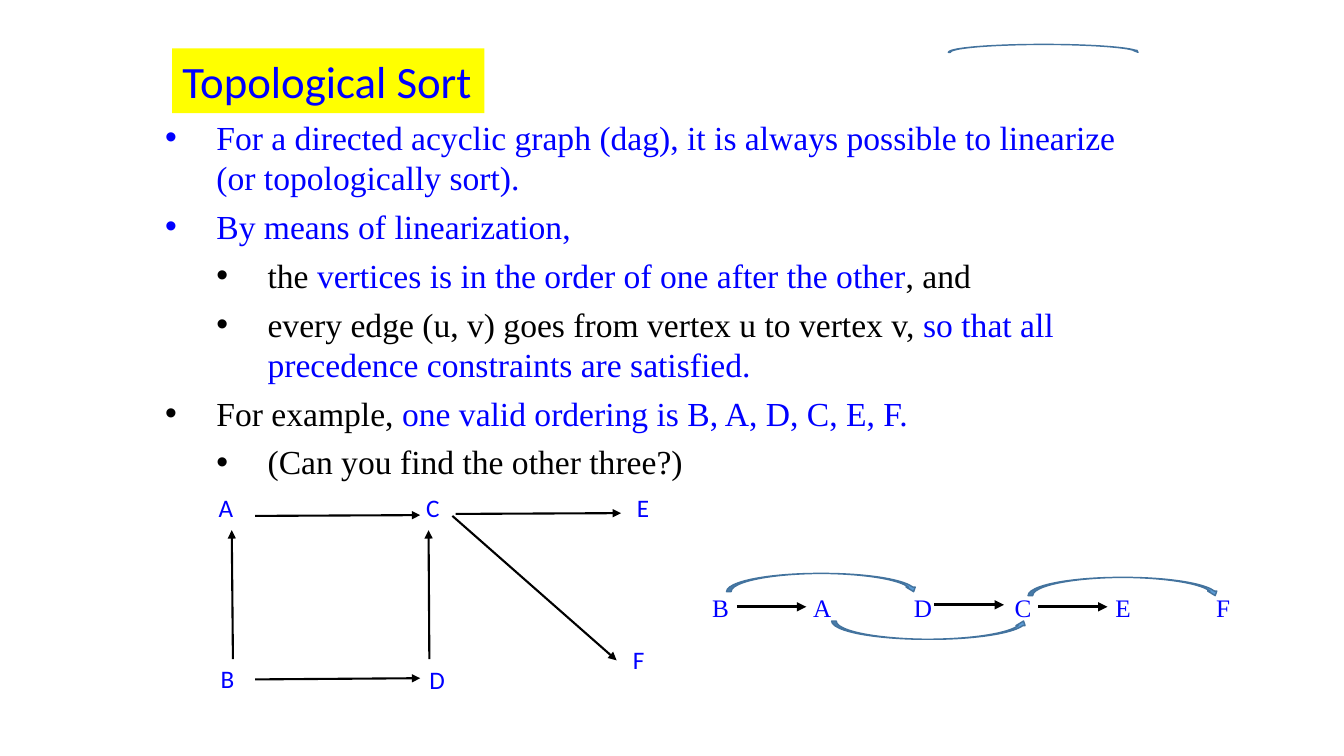
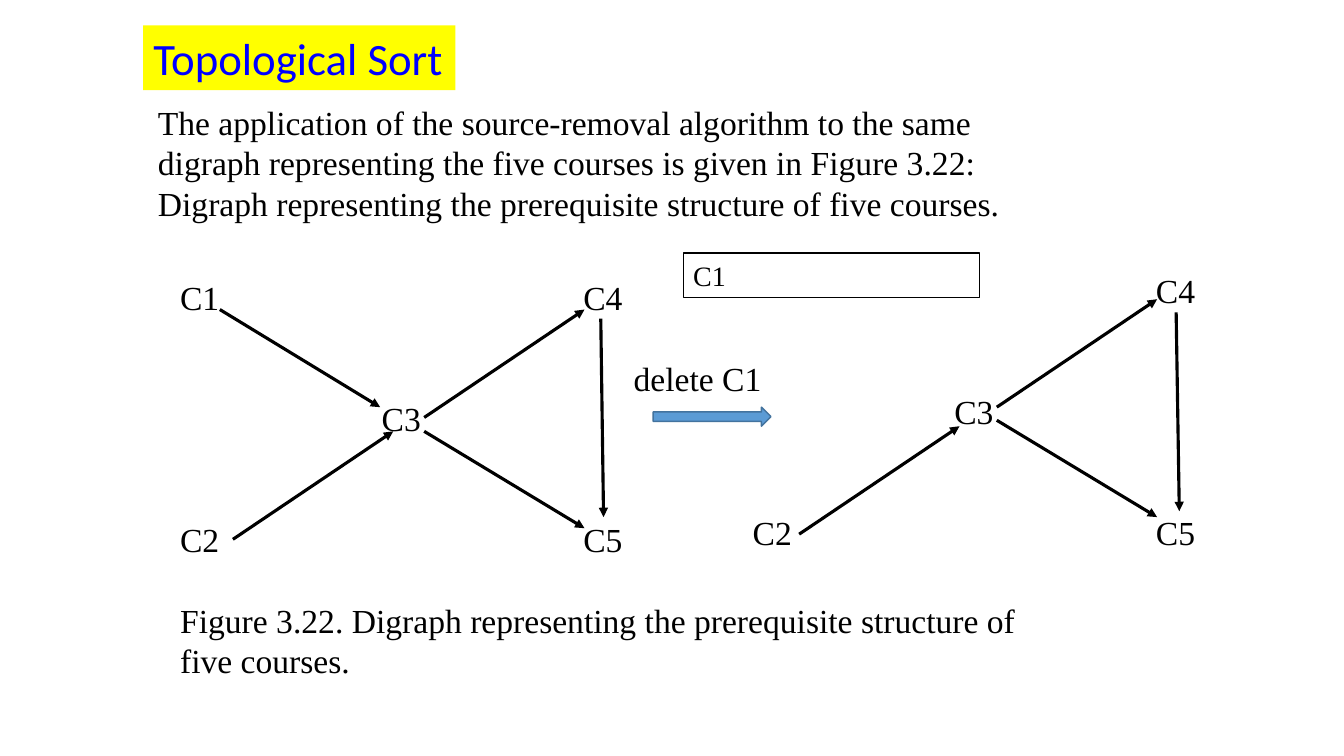
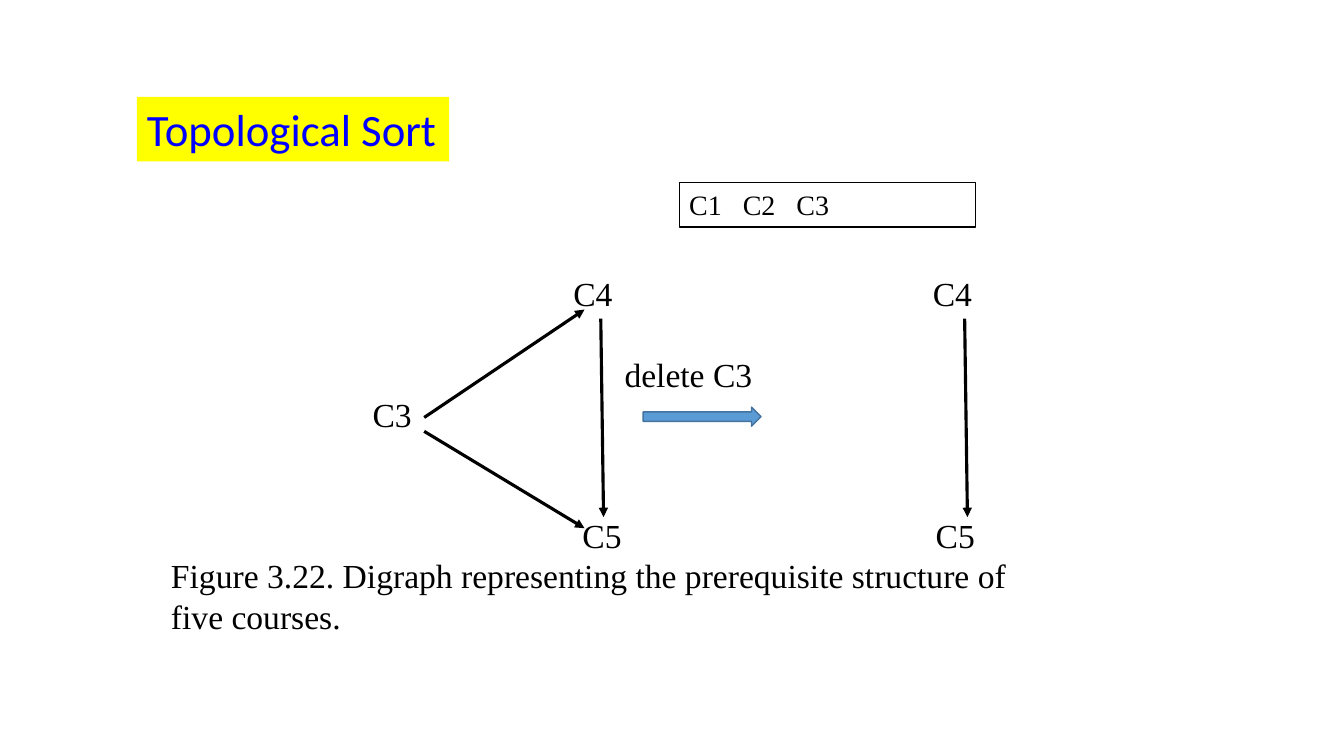
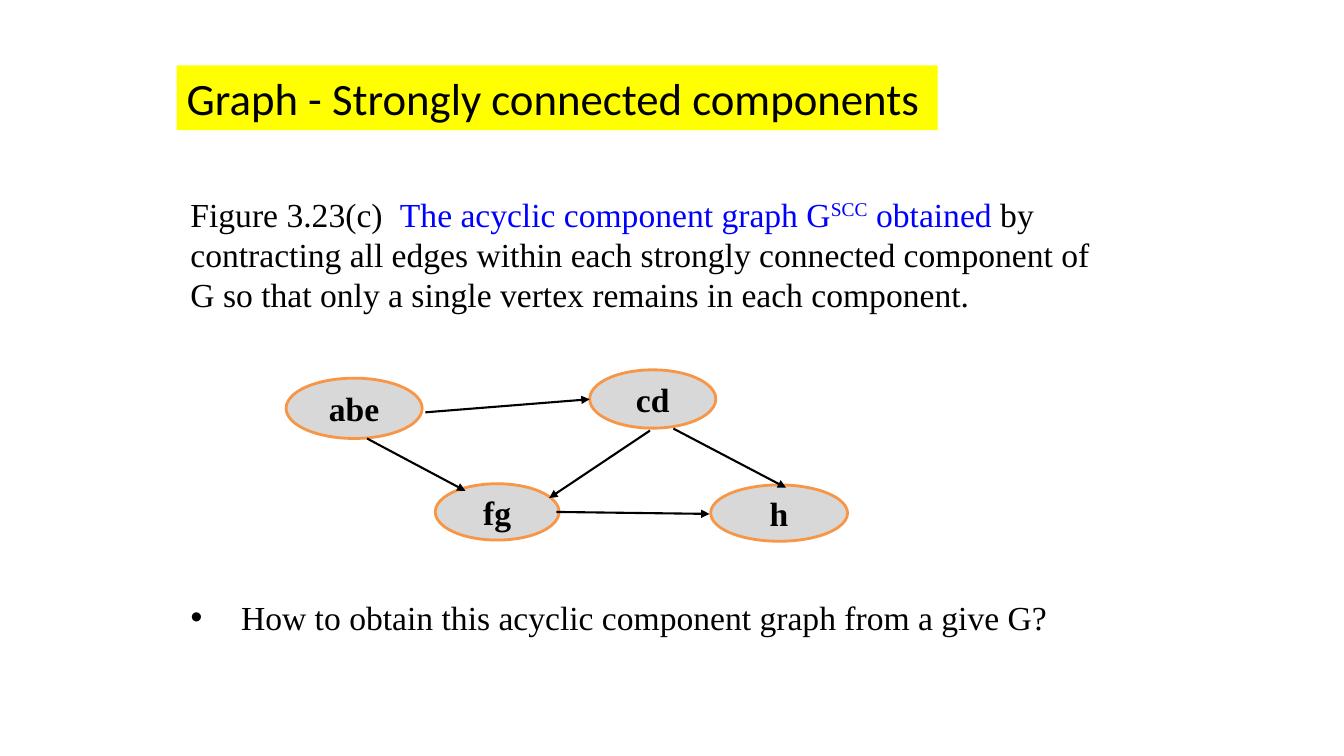
from lxml import etree
from pptx import Presentation
from pptx import util as u
from pptx.dml.color import RGBColor
from pptx.enum import shapes, text
from pptx.oxml import ns

COLORS = {
    "white": "FFFFFF", "black": "000000", "blue": "0000FF", "yellow": "FFFF00",
    "arrow": "5B9BD5", "arrow_line": "43739E", "node": "D8D8D8", "node_line": "F79646",
}
SERIF, SANS = "Times New Roman", "Calibri"
SHAPE = shapes.MSO_SHAPE
TITLE_ONLY, TITLE_BODY = 5, 1
LINE_FACTOR = 1.2
CAPTION = "Figure 3.22. Digraph representing the prerequisite structure of five courses."
COURSE_EDGES = {
    "C1-C3": (5.54, 7.8, 9.58, 10.26),
    "C3-C5": (10.69, 10.87, 14.73, 13.31),
    "C3-C4": (10.69, 10.52, 14.73, 7.8),
    "C2-C3": (5.87, 13.59, 9.91, 10.87),
    "C4-C5": (15.14, 8.03, 15.21, 13.03),
}


def rgb(name):
    return RGBColor.from_string(COLORS[name])


def apply(obj, values):
    for name, value in values.items():
        setattr(obj, name, value)


def box(at):
    return [u.Cm(v) for v in at]


def place(sp, at):
    apply(sp, dict(zip(("left", "top", "width", "height"), box(at))))


def sub(parent, tag, **attrs):
    return etree.SubElement(parent, ns.qn(tag), attrs)


def add_bullet(p, level, step):
    pPr = p._p.get_or_add_pPr()
    pPr.set("marL", str(u.Cm(step * (level + 1))))
    pPr.set("indent", str(-u.Cm(step)))
    sub(pPr, "a:buFont", typeface="Arial")
    sub(pPr, "a:buChar", char="•")


def add_tabs(p, stops):
    tabs = sub(p._p.get_or_add_pPr(), "a:tabLst")
    for stop in stops:
        sub(tabs, "a:tab", pos=str(u.Cm(stop)), algn="l")


def add_runs(p, runs, size=24, font=SERIF, bold=False):
    apply(p, {"line_spacing": u.Pt(size * LINE_FACTOR), "space_before": u.Pt(0)})
    for content, color, *raised in runs:
        r = p.add_run()
        r.text = content
        apply(r.font, {"size": u.Pt(size), "name": font, "bold": bold})
        r.font.color.rgb = rgb(color)
        if raised:
            r.font._element.set("baseline", "30000")


def add_title(s, content, at, color="blue"):
    sp = s.shapes.title
    place(sp, at)
    sp.fill.solid()
    sp.fill.fore_color.rgb = rgb("yellow")
    tf = sp.text_frame
    apply(tf, {"word_wrap": False, "auto_size": text.MSO_AUTO_SIZE.NONE,
               "vertical_anchor": text.MSO_ANCHOR.TOP})
    p = tf.paragraphs[0]
    p.alignment = text.PP_ALIGN.LEFT
    add_runs(p, [(content, color)], 32, SANS)


def add_list(s, at, items, step):
    sp = s.placeholders[1]
    place(sp, at)
    tf = sp.text_frame
    apply(tf, {"word_wrap": True, "auto_size": text.MSO_AUTO_SIZE.NONE})
    for i, (level, runs) in enumerate(items):
        p = tf.add_paragraph() if i else tf.paragraphs[0]
        apply(p, {"level": level, "space_after": u.Pt(6)})
        add_bullet(p, level, step)
        add_runs(p, runs)


def add_text(s, at, runs, tabs=(), **style):
    tf = s.shapes.add_textbox(*box(at)).text_frame
    tf.word_wrap = True
    p = tf.paragraphs[0]
    if tabs:
        add_tabs(p, tabs)
    add_runs(p, runs, **style)


def add_labels(s, labels, width=1.8, color="black", **style):
    for content, x, y in labels:
        add_text(s, (x, y, width, 1.04), [(content, color)], **style)


def add_shape(s, kind, at, fill, line, width=1):
    sp = s.shapes.add_shape(kind, *box(at))
    sp.shadow.inherit = False
    sp.fill.solid()
    sp.fill.fore_color.rgb = rgb(fill)
    sp.line.color.rgb = rgb(line)
    sp.line.width = u.Pt(width)
    return sp


def add_block_arrow(s, kind, at):
    add_shape(s, kind, at, "arrow", "arrow_line")


def add_arrows(s, ends, width):
    for end in ends:
        c = s.shapes.add_connector(shapes.MSO_CONNECTOR.STRAIGHT, *box(end))
        c.line.color.rgb = rgb("black")
        c.line.width = u.Pt(width)
        sub(c.line._get_or_add_ln(), "a:tailEnd", type="triangle")
        sub(c._element.spPr, "a:effectLst")


def add_removed_box(s, x, y, content):
    sp = add_shape(s, SHAPE.RECTANGLE, (x, y, 7.47, 1.12), "white", "black")
    sp.text_frame.vertical_anchor = text.MSO_ANCHOR.TOP
    p = sp.text_frame.paragraphs[0]
    p.alignment = text.PP_ALIGN.LEFT
    add_tabs(p, (1.35, 2.7))
    add_runs(p, [(content, "black")], 20)


def add_component(s, content, at):
    sp = add_shape(s, SHAPE.OVAL, at, "node", "node_line", 2)
    sp.text_frame.vertical_anchor = text.MSO_ANCHOR.MIDDLE
    p = sp.text_frame.paragraphs[0]
    p.alignment = text.PP_ALIGN.CENTER
    add_runs(p, [(content, "black")], bold=True)


def add_slide(prs, layout, title, at, color="blue"):
    s = prs.slides.add_slide(prs.slide_layouts[layout])
    add_title(s, title, at, color)
    return s


def linearization(prs):
    s = add_slide(prs, TITLE_BODY, "Topological Sort", (4.34, 1.22, 7.87, 1.63))
    add_list(s, (3.91, 2.82, 24.82, 9.53), [
        (0, [("For a directed acyclic graph (dag), it is always possible to linearize "
              "(or topologically sort).", "blue")]),
        (0, [("By means of linearization,", "blue")]),
        (1, [("the ", "black"), ("vertices is in the order of one after the other", "blue"),
             (", and", "black")]),
        (1, [("every edge (u, v) goes from vertex u to vertex v, ", "black"),
             ("so that all precedence constraints are satisfied.", "blue")]),
        (0, [("For example, ", "black"), ("one valid ordering is B, A, D, C, E, F.", "blue")]),
        (1, [("(Can you find the other three?)", "black")]),
    ], 1.29)
    add_labels(s, [("A", 5.26, 12.29), ("C", 10.49, 12.29), ("E", 15.8, 12.29),
                   ("B", 5.31, 16.59), ("D", 10.57, 16.61), ("F", 15.7, 16.1)],
               1, "blue", size=18, font=SANS)
    add_arrows(s, [(6.43, 13, 10.59, 12.98), (11.48, 12.95, 15.65, 12.93),
                   (6.43, 17.12, 10.59, 17.09), (5.87, 16.61, 5.84, 13.36),
                   (10.82, 16.61, 10.8, 13.36), (11.4, 13, 15.54, 16.64)], 1.5)
    add_text(s, (17.7, 14.81, 14, 1.02), [("B\tA\tD\tC\tE\tF", "blue")],
             [2.54 * i for i in range(1, 6)], size=18)
    add_arrows(s, [(x, y, x + 1.75, y) for x, y in
                   ((18.57, 15.29), (23.55, 15.24), (26.16, 15.29))], 2.25)
    for at in ((18.31, 14.45, 4.83, 0.46), (23.9, 1.12, 4.83, 0.2), (25.91, 14.55, 4.83, 0.46)):
        add_block_arrow(s, SHAPE.CURVED_DOWN_ARROW, at)
    add_block_arrow(s, SHAPE.CURVED_UP_ARROW, (20.96, 15.65, 4.95, 0.46))


def delete_first(prs):
    s = add_slide(prs, TITLE_ONLY, "Topological Sort", (3.61, 0.64, 7.87, 1.63))
    add_text(s, (3.73, 2.44, 22.96, 3.33), [(
        "The application of the source-removal algorithm to the same digraph representing "
        "the five courses is given in Figure 3.22: Digraph representing the prerequisite "
        "structure of five courses.", "black")])
    grid = {"C1": (0, 0), "C2": (0, 2), "C3": (1, 1), "C4": (2, 0), "C5": (2, 2)}
    for x, y, names in ((4.29, 6.86, list(grid)), (18.72, 6.68, list(grid)[1:])):
        add_labels(s, [(n, x + 5.08 * grid[n][0], y + 3.05 * grid[n][1]) for n in names])
    add_arrows(s, COURSE_EDGES.values(), 2.25)
    add_arrows(s, [(29.64, 7.87, 29.72, 12.88), (25.12, 10.26, 29.16, 7.54),
                   (20.14, 13.46, 24.18, 10.74), (25.12, 10.59, 29.16, 13.03)], 2.25)
    add_labels(s, [("delete C1", 15.72, 8.89)], 4.5)
    add_block_arrow(s, SHAPE.RIGHT_ARROW, (16.46, 10.26, 2.97, 0.48))
    add_removed_box(s, 17.22, 6.38, "C1")
    add_text(s, (4.29, 14.99, 22.96, 2.3), [(CAPTION, "black")])


def delete_third(prs):
    s = add_slide(prs, TITLE_ONLY, "Topological Sort", (3.45, 2.44, 7.87, 1.63))
    add_labels(s, [("C4", 14.2, 6.76), ("C3", 9.14, 9.8), ("C5", 14.43, 12.85),
                   ("C4", 23.26, 6.76), ("C5", 23.33, 12.85)])
    add_arrows(s, [COURSE_EDGES[k] for k in ("C3-C5", "C3-C4", "C4-C5")], 2.25)
    x1, y1, x2, y2 = COURSE_EDGES["C4-C5"]
    add_arrows(s, [(x1 + 9.17, y1, x2 + 9.17, y2)], 2.25)
    add_labels(s, [("delete C3", 15.49, 8.79)], 4.5)
    add_block_arrow(s, SHAPE.RIGHT_ARROW, (16.21, 10.26, 2.97, 0.48))
    add_removed_box(s, 17.12, 4.6, "C1\tC2\tC3")
    add_text(s, (4.06, 13.87, 22.96, 2.3), [(CAPTION, "black")])


def components(prs):
    s = add_slide(prs, TITLE_BODY, "Graph - Strongly connected components",
                  (4.45, 1.65, 19.18, 1.63), "black")
    add_text(s, (4.55, 4.75, 23.65, 3.4), [
        ("Figure 3.23(c)\t", "black"), ("The acyclic component graph G", "blue"),
        ("SCC", "blue", True), (" obtained ", "blue"),
        ("by contracting all edges within each strongly connected component of G so that "
         "only a single vertex remains in each component.", "black")], [5.28])
    for name, at in (("abe", (7.21, 9.53, 3.43, 1.52)), ("fg", (10.97, 12.19, 3.12, 1.42)),
                     ("h", (17.91, 12.22, 3.45, 1.42)), ("cd", (14.86, 9.32, 3.18, 1.47))):
        add_component(s, name, at)
    add_arrows(s, [(16.97, 10.8, 19.81, 12.29), (16.38, 10.85, 13.84, 12.55),
                   (10.72, 10.39, 14.86, 10.06), (9.25, 11.05, 11.73, 12.37),
                   (14.02, 12.9, 17.88, 12.95)], 1.5)
    add_list(s, (4.55, 14.91, 23.65, 1.3), [
        (0, [("How to obtain this acyclic component graph from a give G?", "black")])], 1.27)


def main():
    prs = Presentation()
    apply(prs, {"slide_width": u.Cm(33.87), "slide_height": u.Cm(19.05)})
    for build in (linearization, delete_first, delete_third, components):
        build(prs)
    prs.save("out.pptx")


if __name__ == "__main__":
    main()
